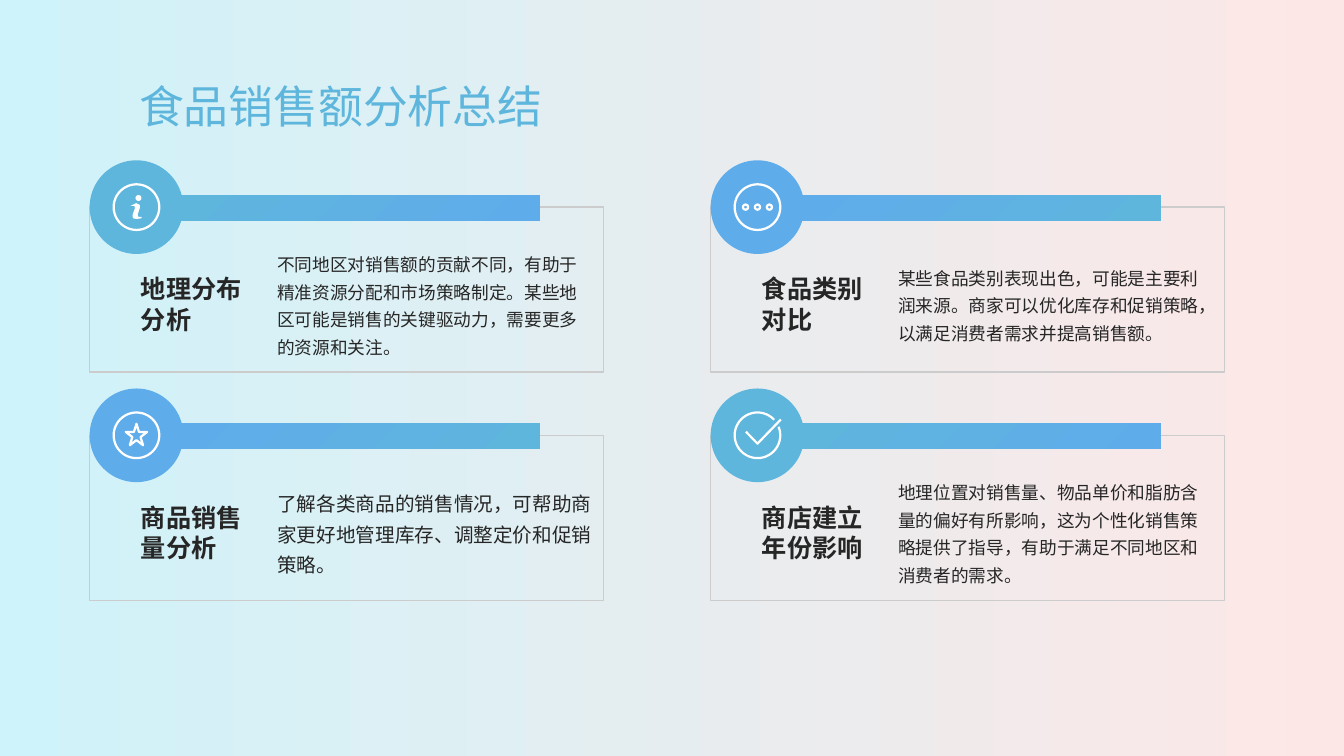
"""Build a summary slide with four icon cards about food sales."""
from pptx import Presentation
from pptx.dml.color import RGBColor
from pptx.enum.shapes import MSO_SHAPE
from pptx.enum.text import MSO_ANCHOR, MSO_AUTO_SIZE, PP_ALIGN
from pptx.util import Cm, Pt

RECTANGLE, OVAL = MSO_SHAPE.RECTANGLE, MSO_SHAPE.OVAL
ARC, STAR = MSO_SHAPE.ARC, MSO_SHAPE.STAR_5_POINT
MIDDLE, BOTTOM = MSO_ANCHOR.MIDDLE, MSO_ANCHOR.BOTTOM
LEFT, NO_AUTOFIT = PP_ALIGN.LEFT, MSO_AUTO_SIZE.NONE

TITLE = "食品销售额分析总结"
CARDS = [
    {"icon": "info", "colours": ("teal", "blue"), "size": 12.6,
     "heading": "地理分布分析",
     "detail": "不同地区对销售额的贡献不同，有助于精准资源分配和市场策略制定。"
               "某些地区可能是销售的关键驱动力，需要更多的资源和关注。"},
    {"icon": "dots", "colours": ("blue", "teal"), "size": 12.6,
     "heading": "食品类别对比",
     "detail": "某些食品类别表现出色，可能是主要利润来源。"
               "商家可以优化库存和促销策略，以满足消费者需求并提高销售额。"},
    {"icon": "star", "colours": ("blue", "teal"), "size": 14,
     "heading": "商品销售量分析",
     "detail": "了解各类商品的销售情况，可帮助商家更好地管理库存、调整定价和促销策略。"},
    {"icon": "check", "colours": ("teal", "blue"), "size": 12.6,
     "heading": "商店建立年份影响",
     "detail": "地理位置对销售量、物品单价和脂肪含量的偏好有所影响，"
               "这为个性化销售策略提供了指导，有助于满足不同地区和消费者的需求。"},
]
COLOURS = {"teal": "5EB6DD", "blue": "5FACEB", "frame": "CCCCCC", "text": "262626",
           "white": "FFFFFF", "sky": "CFF3FA", "rose": "FDE7E6"}
COLUMNS, ROWS = (2.26, 17.91), (5.22, 10.97)
RADIUS = 1.18
LETTER_I = [(-0.15, -0.03), (-0.01, -0.1), (0.08, -0.06), (0.09, 0), (0.03, 0.19),
            (0.04, 0.24), (0.13, 0.25), (0.13, 0.28), (0, 0.3), (-0.09, 0.28),
            (-0.1, 0.2), (-0.04, 0.03), (-0.05, -0.03)]
TICK = [(-0.29, -0.09), (0, 0.21), (0.59, -0.4)]


def colour(name):
    return RGBColor.from_string(COLOURS[name])


def set_gradient(fill, names, angle):
    fill.gradient()
    fill.gradient_angle = angle
    for stop, name in zip(fill.gradient_stops, names):
        stop.color.rgb = colour(name)


def paint(shape, fill=None, line=None, weight=1):
    shape.shadow.inherit = False
    if fill:
        shape.fill.solid()
        shape.fill.fore_color.rgb = colour(fill)
    else:
        shape.fill.background()
    if line:
        shape.line.color.rgb = colour(line)
        shape.line.width = Pt(weight)
    else:
        shape.line.fill.background()
    return shape


def add_figure(page, kind, left, top, width, height, **look):
    shape = page.shapes.add_shape(kind, Cm(left), Cm(top), Cm(width), Cm(height))
    return paint(shape, **look)


def add_centred(page, kind, x, y, size, **look):
    return add_figure(page, kind, x - size / 2, y - size / 2, size, size, **look)


def add_outline(page, x, y, points, close, **look):
    corners = [(Cm(x + dx), Cm(y + dy)) for dx, dy in points]
    builder = page.shapes.build_freeform(*corners[0])
    builder.add_line_segments(corners[1:], close=close)
    paint(builder.convert_to_shape(), **look)


def write(box, text, anchor, spacing=1, ink="text", **font):
    frame = box.text_frame
    for key, value in {"word_wrap": True, "auto_size": NO_AUTOFIT,
                       "vertical_anchor": anchor}.items():
        setattr(frame, key, value)
    para = frame.paragraphs[0]
    para.alignment, para.line_spacing = LEFT, spacing
    span = para.add_run()
    span.text = text
    span.font.color.rgb = colour(ink)
    for key, value in {"name": "Arial", "bold": False, **font}.items():
        setattr(span.font, key, value)


def add_text(page, left, top, width, height, text, **style):
    box = page.shapes.add_textbox(Cm(left), Cm(top), Cm(width), Cm(height))
    write(box, text, MIDDLE, **style)


def draw_icon(page, kind, x, y):
    stroke = {"line": "white", "weight": 1.6}
    ring = add_centred(page, ARC if kind == "check" else OVAL, x, y, 1.15, **stroke)
    if kind == "check":
        for index, degrees in enumerate((338, 317)):
            ring.adjustments[index] = degrees * 0.6
        add_outline(page, x, y, TICK, False, **stroke)
    elif kind == "dots":
        for step in (-1, 0, 1):
            add_centred(page, OVAL, x + step * 0.3, y, 0.13, **stroke)
    elif kind == "star":
        add_centred(page, STAR, x, y - 0.02, 0.54, **stroke)
    else:
        add_centred(page, OVAL, x + 0.05, y - 0.23, 0.15, fill="white")
        add_outline(page, x, y, LETTER_I, True, fill="white")


def add_card(page, left, top, card):
    add_figure(page, RECTANGLE, left, top, 12.95, 4.16, line="frame")
    bar = add_figure(page, RECTANGLE, left + 2.15, top - 0.3, 9.2, 0.64)
    set_gradient(bar.fill, card["colours"], 315)
    add_centred(page, OVAL, left + RADIUS, top, 2 * RADIUS, fill=card["colours"][0])
    draw_icon(page, card["icon"], left + RADIUS, top)
    add_text(page, left + 1.04, top + 1.46, 3.43, 1.96, card["heading"],
             size=Pt(18), bold=True)
    add_text(page, left + 4.48, top + 0.81, 8.48, 3.2, card["detail"],
             spacing=1.3, size=Pt(card["size"]))


def main():
    deck = Presentation()
    deck.slide_width, deck.slide_height = Cm(33.87), Cm(19.05)
    page = deck.slides.add_slide(deck.slide_layouts[5])
    set_gradient(page.background.fill, ("sky", "rose"), 0)
    title = page.shapes.title
    for key, value in {"left": 3.25, "top": 1.35, "width": 28.55, "height": 2.11}.items():
        setattr(title, key, Cm(value))
    write(title, TITLE, BOTTOM, ink="teal", size=Pt(32))
    for index, card in enumerate(CARDS):
        row, column = divmod(index, len(COLUMNS))
        add_card(page, COLUMNS[column], ROWS[row], card)
    deck.save("out.pptx")


if __name__ == "__main__":
    main()
